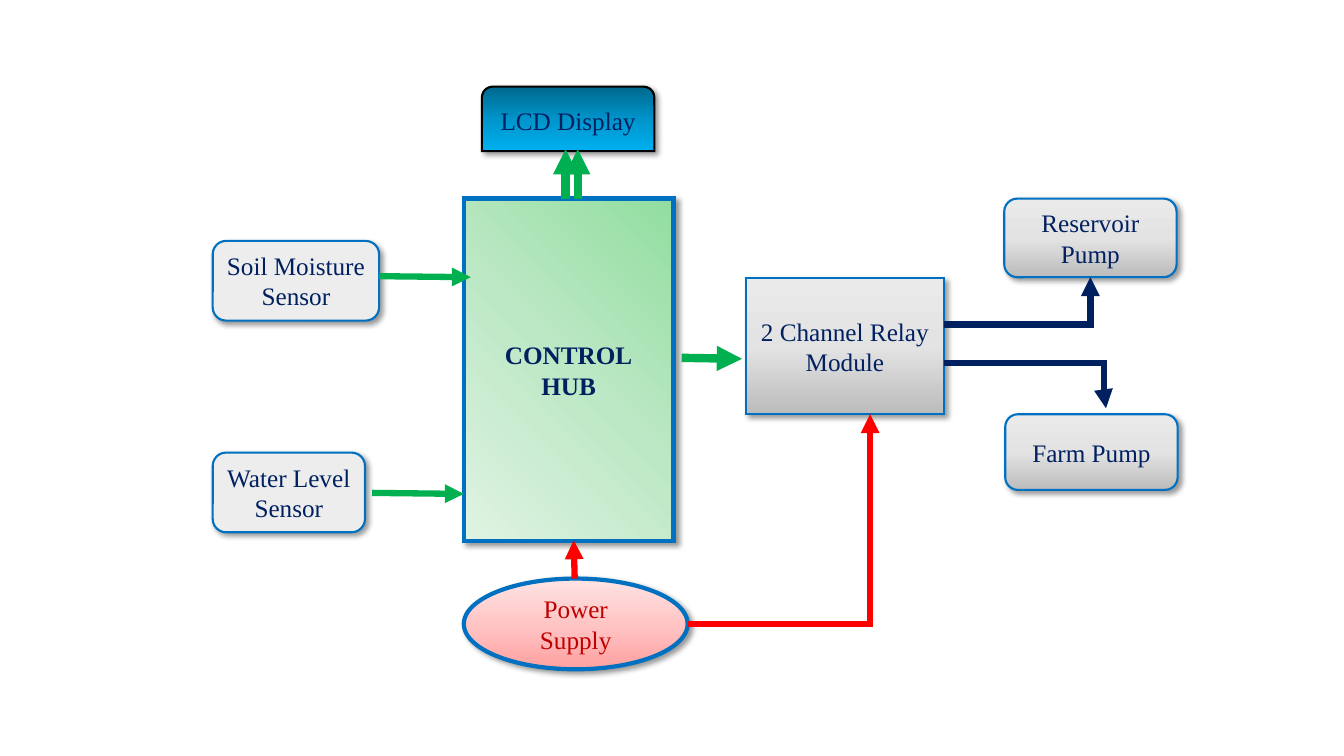
"""Build the block diagram of an irrigation controller."""
from dataclasses import dataclass
from typing import Optional

from lxml import etree
from pptx import Presentation
from pptx import util as u
from pptx.dml import color
from pptx.enum import shapes, text
from pptx.oxml import ns, parse_xml


@dataclass(frozen=True)
class Theme:
    """Colours, font and sizes."""
    font: str = "Times New Roman"
    size: float = 18
    navy: str = "002060"
    blue: str = "0070C0"
    black: str = "000000"
    dark_red: str = "C00000"
    red: str = "FF0000"
    green: str = "00B050"
    thin: float = 1.5
    thick: float = 3
    wire: float = 4.5
    bus: float = 6
    plain: tuple[str, ...] = ("EDEDED",)
    grey: tuple[str, ...] = ("EBEAEA", "E4E3E3", "BDBCBC")
    board: tuple[str, ...] = ("91DEA0", "BDE8C5", "DFF3E3")
    power: tuple[str, ...] = ("FFA0A0", "FFC5C5", "FFE3E3")
    screen: tuple[str, ...] = ("00688E", "0094CA", "00B0F0")


T = Theme()
KIND = shapes.MSO_SHAPE
Point = tuple[float, float]


@dataclass(frozen=True)
class Block:
    """A labelled box of the diagram."""
    label: str
    box: tuple[float, float, float, float]
    kind: KIND = KIND.ROUNDED_RECTANGLE
    fill: tuple[str, ...] = T.grey
    angle: Optional[int] = 90
    line: str = T.blue
    width: float = T.thin
    ink: str = T.navy
    bold: bool = False


@dataclass(frozen=True)
class Arrow:
    """A straight or bent arrow between two points."""
    start: Point
    end: Point
    ink: str = T.green
    width: float = T.wire
    bend: Optional[str] = None
    adjust: Optional[int] = None
    target: Optional[str] = None


BLOCKS = [
    Block("CONTROL\nHUB", (4.6, 1.97, 2.08, 3.4), KIND.RECTANGLE, T.board,
          angle=None, width=T.thick, bold=True),
    Block("Soil Moisture Sensor", (2.11, 2.39, 1.65, 0.79), fill=T.plain),
    Block("Water Level Sensor", (2.11, 4.49, 1.51, 0.79), fill=T.plain),
    Block("Power Supply", (4.6, 5.74, 2.22, 0.9), KIND.OVAL, T.power,
          angle=270, width=T.thick, ink=T.dark_red),
    Block("LCD Display", (4.78, 0.86, 1.71, 0.64),
          KIND.ROUND_2_SAME_RECTANGLE, T.screen, line=T.black),
    Block("2 Channel Relay Module", (7.4, 2.76, 1.96, 1.35), KIND.RECTANGLE),
    Block("Reservoir Pump", (9.96, 1.97, 1.71, 0.78)),
    Block("Farm Pump", (9.97, 4.11, 1.71, 0.75)),
]

ARROWS = [
    Arrow((5.7, 5.74), (5.69, 5.36), T.red),
    Arrow((3.69, 4.89), (4.6, 4.9)),
    Arrow((5.61, 1.97), (5.61, 1.48), width=T.bus),
    Arrow((5.73, 1.97), (5.73, 1.48), width=T.bus),
    Arrow((9.36, 3.22), (10.81, 2.76), T.navy, bend="bentConnector2",
          target="Reservoir Pump"),
    Arrow((9.36, 3.6), (10.97, 4.05), T.navy, bend="bentConnector3",
          adjust=98600),
    Arrow((3.76, 2.74), (4.67, 2.75)),
    Arrow((6.82, 6.19), (8.63, 4.11), T.red, bend="bentConnector2"),
    Arrow((6.76, 3.55), (7.36, 3.56), width=T.bus),
]


def rgb(value: str) -> color.RGBColor:
    """Turn a hex string into a colour."""
    return color.RGBColor.from_string(value)


def add_text(sp, label: str, *, ink: str, bold: bool = False,
             size: float = T.size, font: str = T.font) -> None:
    """Write centred paragraphs into a shape."""
    tf = sp.text_frame
    tf.word_wrap = True
    tf.vertical_anchor = text.MSO_ANCHOR.MIDDLE
    for i, line in enumerate(label.split("\n")):
        p = tf.add_paragraph() if i else tf.paragraphs[0]
        p.alignment = text.PP_ALIGN.CENTER
        r = p.add_run()
        r.text = line
        r.font.name, r.font.size, r.font.bold = font, u.Pt(size), bold
        r.font.color.rgb = rgb(ink)


def set_line(sp, ink: str, width: float):
    """Set a sharp-cornered line and return its element."""
    sp.line.color.rgb = rgb(ink)
    sp.line.width = u.Pt(width)
    ln = sp._element.spPr.find(ns.qn("a:ln"))
    etree.SubElement(ln, ns.qn("a:miter"), lim="800000")
    return ln


def set_gradient(sp, stops: tuple[str, ...], angle: Optional[int]) -> None:
    """Fill with evenly spaced stops, radial from top right without an angle."""
    sp.fill.gradient()
    old = sp._element.spPr.find(ns.qn("a:gradFill"))
    step = 100000 // (len(stops) - 1)
    marks = "".join(f'<a:gs pos="{i * step}"><a:srgbClr val="{c}"/></a:gs>'
                    for i, c in enumerate(stops))
    shade = ('<a:path path="circle"><a:fillToRect l="100000" b="100000"/></a:path>'
             if angle is None else f'<a:lin ang="{angle * 60000}" scaled="0"/>')
    new = parse_xml(f'<a:gradFill {ns.nsdecls("a")} rotWithShape="1">'
                    f'<a:gsLst>{marks}</a:gsLst>{shade}</a:gradFill>')
    old.getparent().replace(old, new)


def add_shadow(sp) -> None:
    """Give a shape a soft shadow to the lower right."""
    sp.shadow.inherit = False
    effects = sp._element.spPr.find(ns.qn("a:effectLst"))
    effects.append(parse_xml(
        f'<a:outerShdw {ns.nsdecls("a")} blurRad="{u.Pt(4)}" dist="{u.Pt(3)}" '
        'dir="2700000" algn="tl" rotWithShape="0"><a:srgbClr val="000000">'
        '<a:alpha val="40000"/></a:srgbClr></a:outerShdw>'))


def add_block(s, block: Block):
    """Draw one block and return its shape."""
    sp = s.shapes.add_shape(block.kind, *map(u.Inches, block.box))
    if len(block.fill) == 1:
        sp.fill.solid()
        sp.fill.fore_color.rgb = rgb(block.fill[0])
    else:
        set_gradient(sp, block.fill, block.angle)
    set_line(sp, block.line, block.width)
    add_shadow(sp)
    add_text(sp, block.label, ink=block.ink, bold=block.bold)
    return sp


def add_arrow(s, arrow: Arrow, drawn: dict) -> None:
    """Draw one arrow, joined to its target's bottom if it has one."""
    kind = shapes.MSO_CONNECTOR.ELBOW if arrow.bend else shapes.MSO_CONNECTOR.STRAIGHT
    cx = s.shapes.add_connector(kind, *map(u.Inches, arrow.start + arrow.end))
    if arrow.target:
        cx.end_connect(drawn[arrow.target], 2)
    ln = set_line(cx, arrow.ink, arrow.width)
    etree.SubElement(ln, ns.qn("a:tailEnd"), type="triangle")
    spPr = cx._element.spPr
    etree.SubElement(spPr, ns.qn("a:effectLst"))
    geom = spPr.find(ns.qn("a:prstGeom"))
    if arrow.bend:
        geom.set("prst", arrow.bend)
    if arrow.adjust is not None:
        etree.SubElement(geom.find(ns.qn("a:avLst")), ns.qn("a:gd"),
                         name="adj1", fmla=f"val {arrow.adjust}")


def main() -> None:
    """Build and save the slide."""
    prs = Presentation()
    prs.slide_width, prs.slide_height = u.Inches(13.33), u.Inches(7.5)
    s = prs.slides.add_slide(prs.slide_layouts[6])
    drawn = {block.label: add_block(s, block) for block in BLOCKS}
    for arrow in ARROWS:
        add_arrow(s, arrow, drawn)
    prs.save("out.pptx")


if __name__ == "__main__":
    main()
